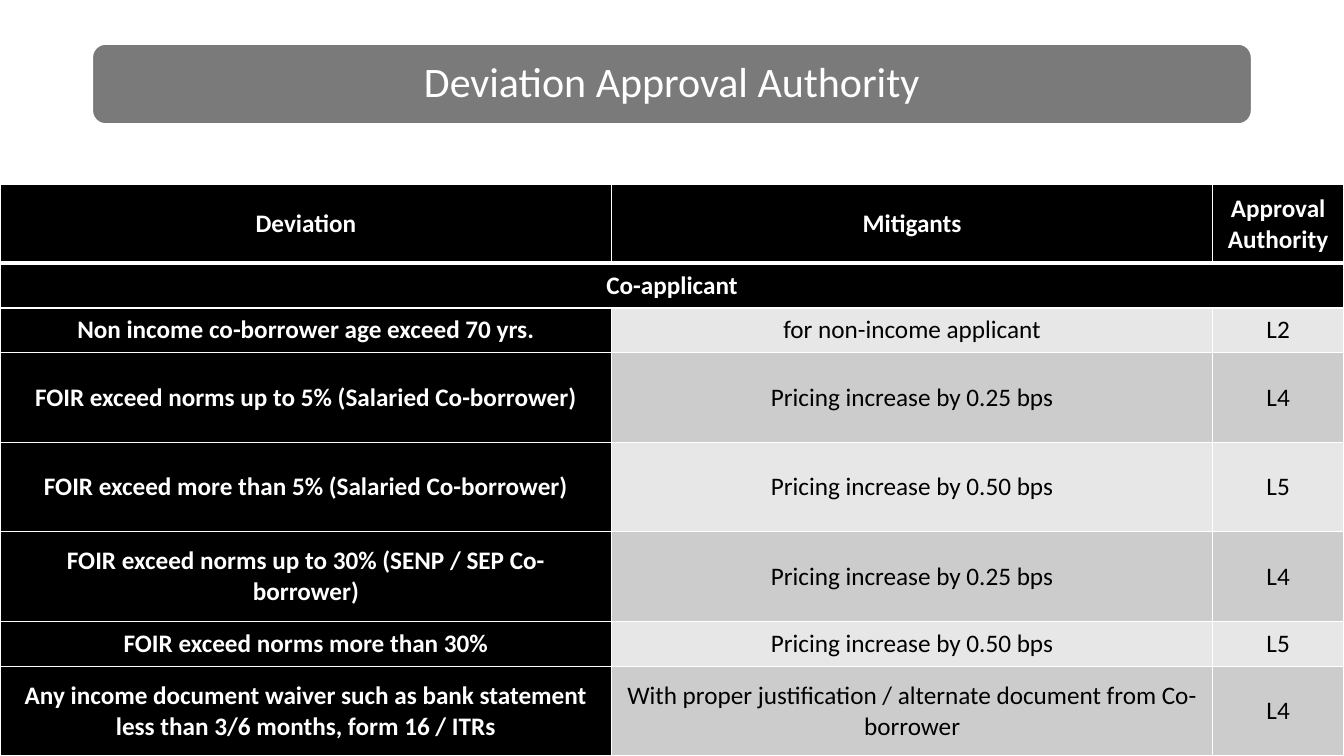
from lxml.etree import SubElement
from pptx import Presentation
from pptx.dml.color import RGBColor
from pptx.enum.shapes import MSO_SHAPE as Shape
from pptx.enum.text import MSO_ANCHOR as Anchor, PP_ALIGN as Align
from pptx.oxml.ns import qn
from pptx.util import Pt

TITLE = "Deviation Approval Authority"
HEADERS = ("Deviation", "Mitigants", "Approval Authority")
SECTION = "Co-applicant"
DEVIATIONS = [
    ("Non income co-borrower age exceed 70 yrs.", "for non-income applicant", "L2"),
    ("FOIR exceed norms up to 5% (Salaried Co-borrower)", "Pricing increase by 0.25 bps", "L4"),
    ("FOIR exceed more than 5% (Salaried Co-borrower)", "Pricing increase by 0.50 bps", "L5"),
    ("FOIR exceed norms up to 30% (SENP / SEP Co-borrower)", "Pricing increase by 0.25 bps", "L4"),
    ("FOIR exceed norms more than 30%", "Pricing increase by 0.50 bps", "L5"),
    ("Any income document waiver such as bank statement less than 3/6 months, form 16 / ITRs",
     "With proper justification / alternate document from Co-borrower", "L4"),
]
COLORS = {"white": "FFFFFF", "black": "000000", "banner": "7A7A7A",
          "light": "E7E7E7", "dark": "CCCCCC"}
FONT = "Calibri"
WIDTH, HEIGHT = 960, 540
COLUMN_WIDTHS = (437, 429, 94)
ROW_HEIGHTS = (56, 32, 32, 64, 64, 64, 32, 64)


def rgb(name):
    return RGBColor.from_string(COLORS[name])


def write(frame, text, size, color, bold=False):
    paragraph = frame.paragraphs[0]
    paragraph.text = text
    paragraph.alignment = Align.CENTER
    font = paragraph.font
    font.name, font.size, font.bold = FONT, Pt(size), bold
    font.color.rgb = rgb(color)
    return paragraph


def add_borders(cell, bottom, top):
    """Draw white cell borders; the elements must come before the fill."""
    properties = cell._tc.get_or_add_tcPr()
    for side, width in (("L", 1), ("R", 1), ("T", top), ("B", bottom)):
        line = SubElement(properties, qn(f"a:ln{side}"), w=str(Pt(width)))
        fill = SubElement(line, qn("a:solidFill"))
        SubElement(fill, qn("a:srgbClr"), val=COLORS["white"])


def add_banner(slide):
    banner = slide.shapes.add_shape(Shape.ROUNDED_RECTANGLE, Pt(66), Pt(31.5), Pt(828), Pt(57))
    banner.shadow.inherit = False
    banner.fill.solid()
    banner.fill.fore_color.rgb = rgb("banner")
    banner.line.color.rgb = rgb("white")
    banner.line.width = Pt(1)
    banner.text_frame.vertical_anchor = Anchor.MIDDLE
    write(banner.text_frame, TITLE, 30, "white").line_spacing = 0.9


def add_deviation_table(slide):
    rows = [HEADERS, (SECTION, "", ""), *DEVIATIONS]
    height = sum(ROW_HEIGHTS)
    table = slide.shapes.add_table(len(rows), len(HEADERS), Pt(0), Pt(HEIGHT - height),
                                   Pt(WIDTH), Pt(height)).table
    for column, width in zip(table.columns, COLUMN_WIDTHS):
        column.width = Pt(width)
    for row, row_height in zip(table.rows, ROW_HEIGHTS):
        row.height = Pt(row_height)
    table.cell(1, 0).merge(table.cell(1, 2))
    for row_index, texts in enumerate(rows):
        for column_index, text in enumerate(texts):
            cell = table.cell(row_index, column_index)
            heading = row_index < 2 or column_index == 0
            band = "dark" if row_index % 2 else "light"
            add_borders(cell, bottom=3 if row_index == 0 else 1, top=3 if row_index == 1 else 1)
            cell.fill.solid()
            cell.fill.fore_color.rgb = rgb("black" if heading else band)
            cell.vertical_anchor = Anchor.MIDDLE
            cell.margin_left = cell.margin_right = Pt(10)
            cell.margin_top = cell.margin_bottom = Pt(0)
            write(cell.text_frame, text, 18, "white" if heading else "black", heading)


def main():
    presentation = Presentation()
    presentation.slide_width, presentation.slide_height = Pt(WIDTH), Pt(HEIGHT)
    slide = presentation.slides.add_slide(presentation.slide_layouts[6])
    add_deviation_table(slide)
    add_banner(slide)
    presentation.save("out.pptx")


if __name__ == "__main__":
    main()
